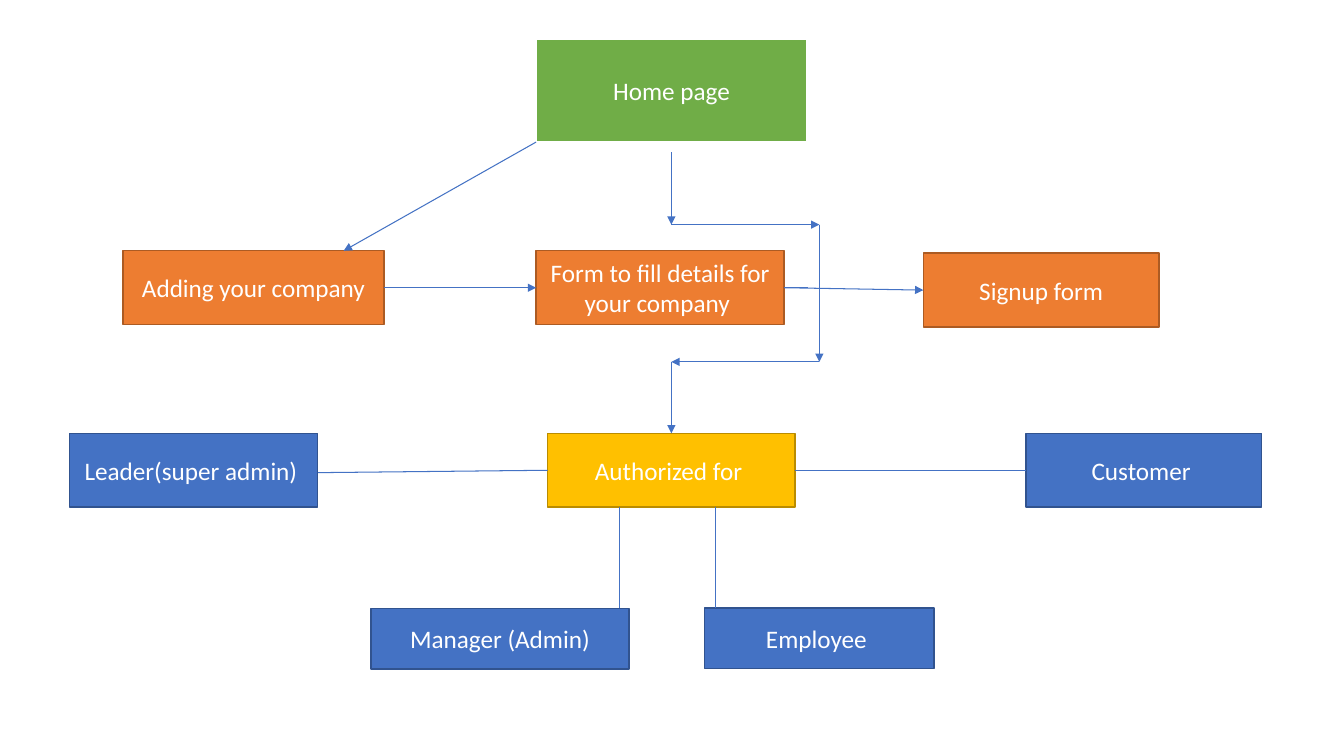
from dataclasses import dataclass
from itertools import pairwise

from lxml.etree import SubElement
from pptx import Presentation
from pptx.dml.color import RGBColor
from pptx.enum.shapes import MSO_CONNECTOR, MSO_SHAPE
from pptx.enum.text import MSO_ANCHOR, PP_ALIGN
from pptx.oxml.ns import qn
from pptx.util import Cm, Pt

TOP, LEFT, RIGHT = 0, 1, 3


@dataclass(frozen=True)
class Theme:
    font: str = "Calibri"
    text_size: float = 18
    text: str = "FFFFFF"
    link: str = "4472C4"
    link_width: float = 0.75
    home: tuple = ("70AD47", "FFFFFF", 1.5)
    form: tuple = ("ED7D31", "AC5B23", 1)
    access: tuple = ("FFC000", "BA8C00", 1)
    role: tuple = ("4472C4", "31538F", 1)


class FlowSlide:
    def __init__(self, slide, theme):
        self.slide = slide
        self.theme = theme

    def box(self, text, left, top, width, height, colours):
        fill, border, border_width = colours
        shape = self.slide.shapes.add_shape(
            MSO_SHAPE.RECTANGLE, Cm(left), Cm(top), Cm(width), Cm(height)
        )
        shape.shadow.inherit = False
        shape.fill.solid()
        shape.fill.fore_color.rgb = RGBColor.from_string(fill)
        shape.line.color.rgb = RGBColor.from_string(border)
        shape.line.width = Pt(border_width)
        frame = shape.text_frame
        frame.word_wrap = True
        frame.vertical_anchor = MSO_ANCHOR.MIDDLE
        paragraph = frame.paragraphs[0]
        paragraph.text = text
        paragraph.alignment = PP_ALIGN.CENTER
        paragraph.font.name = self.theme.font
        paragraph.font.size = Pt(self.theme.text_size)
        paragraph.font.color.rgb = RGBColor.from_string(self.theme.text)
        return shape

    def link(self, start=(0, 0), end=(0, 0), source=None, target=None, arrow=False):
        connector = self.slide.shapes.add_connector(
            MSO_CONNECTOR.STRAIGHT, *(Cm(value) for value in (*start, *end))
        )
        if source:
            connector.begin_connect(*source)
        if target:
            connector.end_connect(*target)
        connector.line.color.rgb = RGBColor.from_string(self.theme.link)
        connector.line.width = Pt(self.theme.link_width)
        properties = connector._element.spPr
        if arrow:
            SubElement(properties.find(qn("a:ln")), qn("a:tailEnd"), type="triangle")
        SubElement(properties, qn("a:effectLst"))


def main():
    presentation = Presentation()
    presentation.slide_width = Cm(33.87)
    presentation.slide_height = Cm(19.05)
    theme = Theme()
    flow = FlowSlide(
        presentation.slides.add_slide(presentation.slide_layouts[6]), theme
    )

    row_height, role_height = 1.86, 1.52
    form_top, access_top = 6.32, 10.92
    home_left, home_bottom = 13.51, 3.58

    flow.box("Home page", home_left, 0.99, 6.83, 2.59, theme.home)
    adding = flow.box("Adding your company", 3.1, form_top, 6.58, row_height, theme.form)
    details = flow.box(
        "Form to fill details for your company ",
        home_left, form_top, 6.25, row_height, theme.form,
    )
    signup = flow.box("Signup form", 23.27, 6.38, 5.94, row_height, theme.form)
    access = flow.box(
        "Authorized for ", 13.8, access_top, 6.24, row_height, theme.access
    )
    flow.box("Leader(super admin) ", 1.76, access_top, 6.25, row_height, theme.role)
    flow.box("Manager (Admin)", 9.35, 15.34, 6.5, role_height, theme.role)
    flow.box("Employee ", 17.75, 15.32, 5.79, role_height, theme.role)
    customer = flow.box("Customer ", 25.86, access_top, 5.94, row_height, theme.role)

    flow.link((home_left, home_bottom), (8.66, form_top), arrow=True)
    flow.link(source=(adding, RIGHT), target=(details, LEFT), arrow=True)
    flow.link(end=(20.35, 7.25), source=(details, RIGHT))
    flow.link(source=(details, RIGHT), target=(signup, LEFT), arrow=True)

    centre, detour = 16.92, 20.65
    bypass_top, bypass_bottom = 5.66, 9.12
    bypass = [
        (centre, 3.84),
        (centre, bypass_top),
        (detour, bypass_top),
        (detour, bypass_bottom),
        (centre, bypass_bottom),
    ]
    for start, end in pairwise(bypass):
        flow.link(start, end, arrow=True)
    flow.link(bypass[-1], target=(access, TOP), arrow=True)

    flow.link(end=(8.01, 11.91), source=(access, LEFT))
    flow.link(source=(access, RIGHT), target=(customer, LEFT))
    for branch in (15.6, 18.03):
        flow.link((branch, access_top + row_height), (branch, 15.33))

    presentation.save("out.pptx")


if __name__ == "__main__":
    main()
